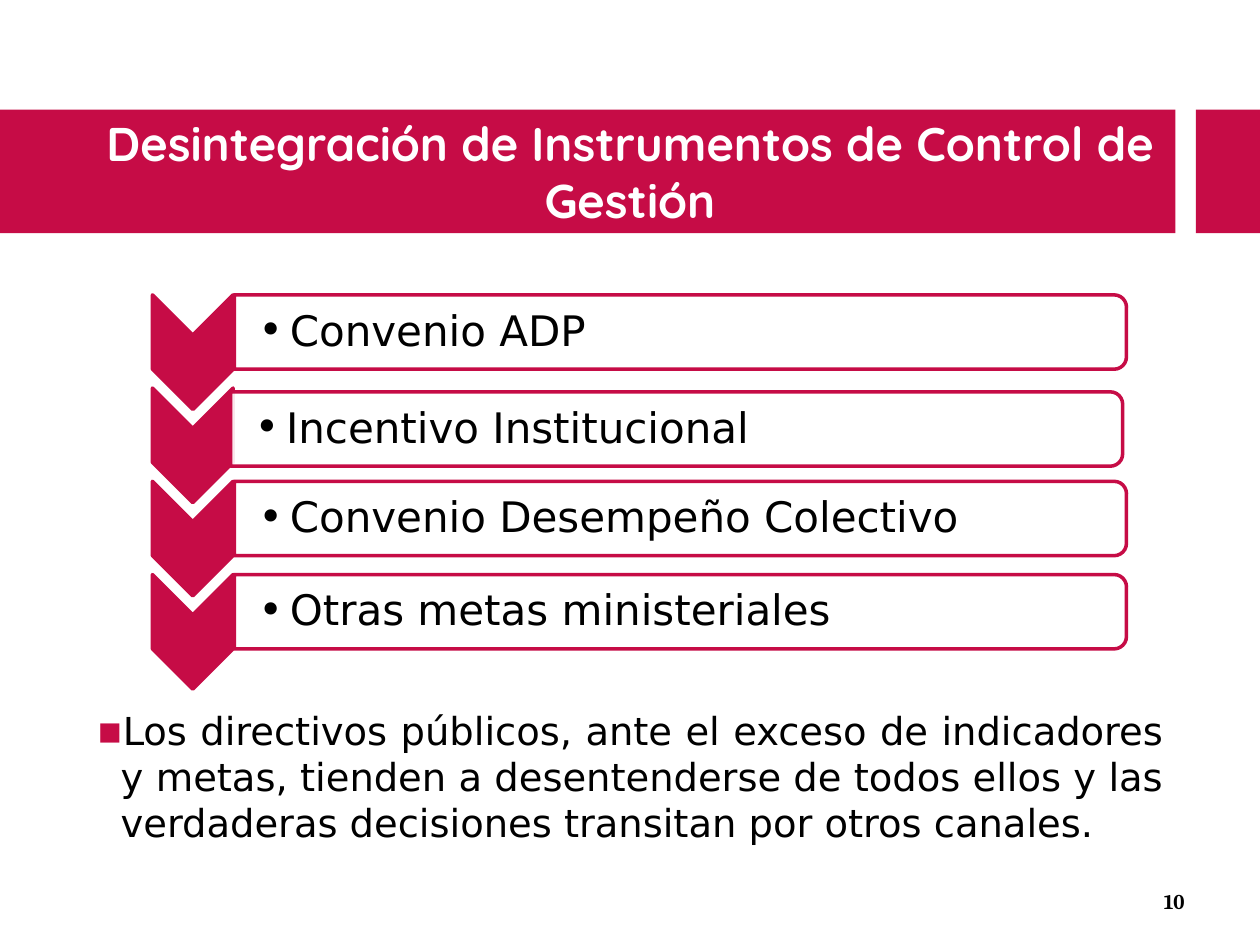
from dataclasses import dataclass

from lxml.etree import SubElement
from pptx import Presentation
from pptx.dml.color import RGBColor
from pptx.enum.shapes import MSO_SHAPE as Preset
from pptx.enum.text import MSO_ANCHOR as Anchor, PP_ALIGN as Align
from pptx.oxml.ns import qn
from pptx.util import Inches, Pt

TITLE = "Desintegración de Instrumentos de Control de Gestión"
# instrument, shift of its panel (x, y)
INSTRUMENTS = [
    ("Convenio ADP", (0, 0)),
    ("Incentivo Institucional", (-0.03, 0.03)),
    ("Convenio Desempeño Colectivo", (0, 0)),
    ("Otras metas ministeriales", (0, 0)),
]
CONCLUSION = (
    "Los directivos públicos, ante el exceso de indicadores y metas, tienden a "
    "desentenderse de todos ellos y las verdaderas decisiones transitan por "
    "otros canales."
)
PAGE = "10"


@dataclass(frozen=True)
class Theme:
    """Colours, fonts and type sizes of the slide."""
    accent: str = "C60C46"
    paper: str = "FFFFFF"
    ink: str = "000000"
    heading_font: str = "Quicksand"
    body_font: str = "DejaVu Sans"
    page_font: str = "Cambria"
    heading: float = 27
    item: float = 24
    body: float = 22
    page: float = 12
    outline: float = 2


THEME = Theme()
BAND_TOP, BAND_HEIGHT = 0.87, 0.98
BANDS = [(0, 9.33), (9.49, 0.51)]  # left, width
ROW_TOP, ROW_PITCH = 2.34, 0.74
CHEVRON_LEFT, CHEVRON_WIDTH, CHEVRON_HEIGHT = 1.21, 0.64, 0.91
PANEL_LEFT, PANEL_WIDTH, PANEL_HEIGHT = 1.86, 7.08, 0.59


def add_box(slide, preset, left, top, width, height, fill,
            line=None, alpha=None, turned=False):
    """Draw a preset shape in its visible frame, optionally turned 90 degrees."""
    if turned:
        left, top = left + (width - height) / 2, top + (height - width) / 2
        width, height = height, width
    box = slide.shapes.add_shape(
        preset, Inches(left), Inches(top), Inches(width), Inches(height))
    box.shadow.inherit = False
    box.rotation = 90 if turned else 0
    box.fill.solid()
    box.fill.fore_color.rgb = RGBColor.from_string(fill)
    if alpha:
        colour = box.fill._xPr.find(".//" + qn("a:srgbClr"))
        SubElement(colour, qn("a:alpha"), val=str(alpha * 1000))
    if line:
        box.line.color.rgb = RGBColor.from_string(line)
        box.line.width = Pt(THEME.outline)
    else:
        box.line.fill.background()


def add_text(slide, text, left, top, width, height, *, size, font=THEME.body_font,
             color=THEME.ink, bold=False, align=Align.LEFT, anchor=Anchor.MIDDLE,
             insets=(0.1, 0.05, 0.1, 0.05), bullet=None, bullet_color=None,
             hang=0, before=0, after=0, leading=1.0):
    """Place one formatted paragraph in a wrapping text box."""
    frame = slide.shapes.add_textbox(
        Inches(left), Inches(top), Inches(width), Inches(height)).text_frame
    frame.word_wrap = True
    frame.vertical_anchor = anchor
    (frame.margin_left, frame.margin_top,
     frame.margin_right, frame.margin_bottom) = map(Inches, insets)
    paragraph = frame.paragraphs[0]
    paragraph.alignment = align
    paragraph.line_spacing = leading
    paragraph.space_before, paragraph.space_after = Pt(before), Pt(after)
    run = paragraph.add_run()
    run.text = text
    run.font.name, run.font.size, run.font.bold = font, Pt(size), bold
    run.font.color.rgb = RGBColor.from_string(color)
    if bullet:
        props = paragraph._p.get_or_add_pPr()
        props.set("marL", str(Inches(hang)))
        props.set("indent", str(-Inches(hang)))
        tint = SubElement(props, qn("a:buClr"))
        SubElement(tint, qn("a:srgbClr"), val=bullet_color or color)
        SubElement(props, qn("a:buFont"), typeface=font)
        SubElement(props, qn("a:buChar"), char=bullet)


def add_instrument(slide, row, name, shift):
    """Draw one row of the list: chevron, panel and name."""
    top = ROW_TOP + row * ROW_PITCH
    add_box(slide, Preset.CHEVRON, CHEVRON_LEFT, top, CHEVRON_WIDTH, CHEVRON_HEIGHT,
            THEME.accent, line=THEME.accent, turned=True)
    left, top = PANEL_LEFT + shift[0], top + shift[1]
    add_box(slide, Preset.ROUND_2_SAME_RECTANGLE, left, top, PANEL_WIDTH, PANEL_HEIGHT,
            THEME.paper, line=THEME.accent, alpha=90, turned=True)
    add_text(slide, name, left, top + 0.03, 7.05, 0.54, size=THEME.item,
             insets=(0.19, 0.02, 0.02, 0.02), bullet="•", hang=0.25,
             after=0.15 * THEME.item, leading=0.9)


def build():
    """Build the slide and save it."""
    deck = Presentation()
    deck.slide_width, deck.slide_height = Inches(10), Inches(7.5)
    slide = deck.slides.add_slide(deck.slide_layouts[6])
    for left, width in BANDS:
        add_box(slide, Preset.RECTANGLE, left, BAND_TOP, width, BAND_HEIGHT, THEME.accent)
    add_text(slide, TITLE, 0.67, BAND_TOP, 8.66, BAND_HEIGHT, size=THEME.heading,
             font=THEME.heading_font, color=THEME.paper, bold=True,
             align=Align.CENTER, insets=(0, 0.04, 0, 0.04))
    for row, (name, shift) in enumerate(INSTRUMENTS):
        add_instrument(slide, row, name, shift)
    add_text(slide, CONCLUSION, 0.67, 5.56, 8.66, 1.38, size=THEME.body,
             align=Align.JUSTIFY, anchor=Anchor.TOP, bullet="▪",
             bullet_color=THEME.accent, hang=0.19, before=0.2 * THEME.body)
    add_text(slide, PAGE, 7.17, 6.95, 2.33, 0.4, size=THEME.page,
             font=THEME.page_font, bold=True, align=Align.RIGHT)
    deck.save("out.pptx")


build()
